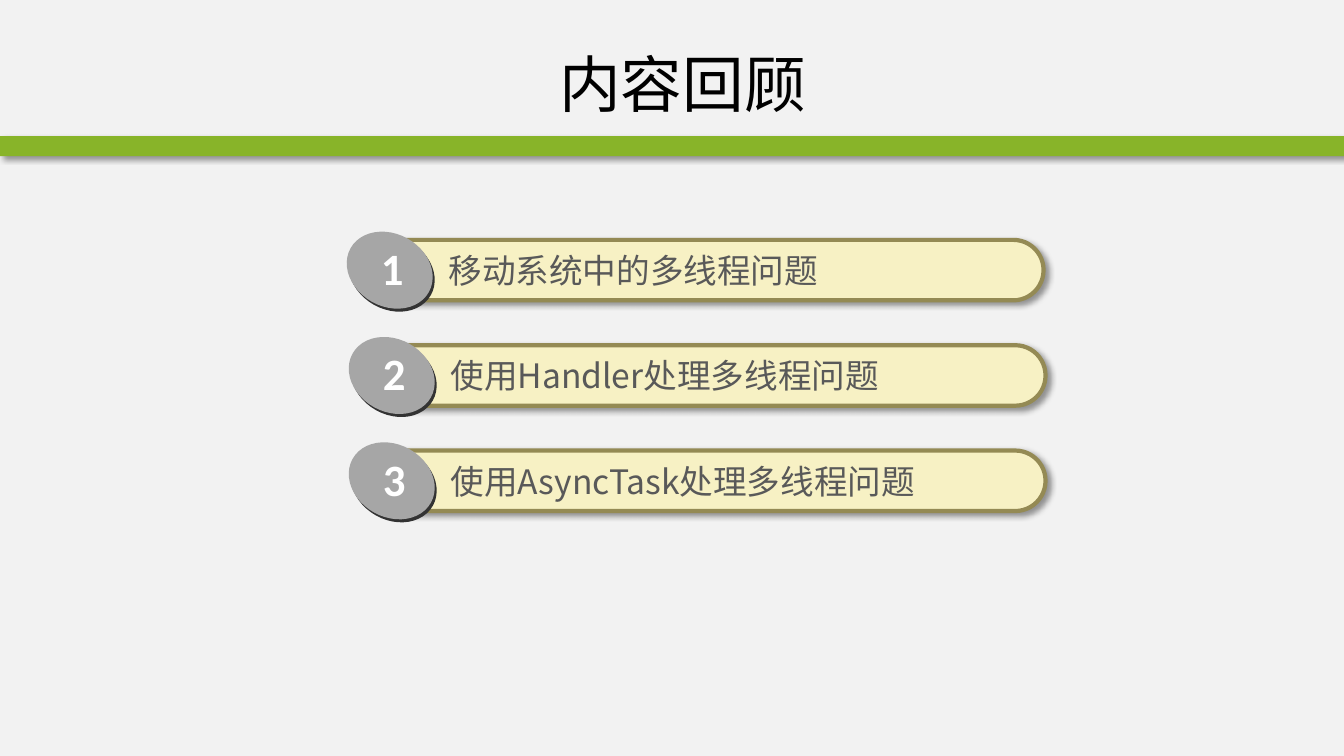
from dataclasses import dataclass

from lxml.etree import SubElement
from pptx import Presentation
from pptx.dml.color import RGBColor as RGB
from pptx.enum.shapes import MSO_SHAPE as SHAPE
from pptx.enum.text import MSO_ANCHOR as ANCHOR, MSO_AUTO_SIZE as AUTO_SIZE, PP_ALIGN as ALIGN
from pptx.oxml.ns import qn
from pptx.util import Inches, Pt


@dataclass(frozen=True)
class Theme:
    background: str = "F2F2F2"
    band: str = "88B429"
    pill: str = "F7F1C4"
    pill_line: str = "948A54"
    badge: str = "A6A6A6"
    badge_edge: str = "333333"
    title: str = "000000"
    body: str = "595959"
    number: str = "FFFFFF"
    shadow: str = "000000"
    text_font: str = "Noto Sans CJK SC"
    number_font: str = "Calibri"
    title_size: int = 44
    body_size: int = 24
    number_size: int = 32


class SlideBuilder:
    def __init__(self, slide, theme):
        self.slide = slide
        self.theme = theme

    def background(self):
        fill = self.slide.background.fill
        fill.solid()
        fill.fore_color.rgb = RGB.from_string(self.theme.background)

    def shape(self, parent, preset, box, color, line=None, shadow=False, rotation=0):
        shape = parent.add_shape(preset, *map(Inches, box))
        shape.shadow.inherit = False
        shape.rotation = rotation
        shape.fill.solid()
        shape.fill.fore_color.rgb = RGB.from_string(color)
        if line:
            shape.line.color.rgb = RGB.from_string(line)
            shape.line.width = Pt(3)
        else:
            shape.line.fill.background()
        if shadow:
            self.drop_shadow(shape)
        return shape

    def drop_shadow(self, shape):
        effects = shape._element.spPr.find(qn("a:effectLst"))
        outer = SubElement(effects, qn("a:outerShdw"), blurRad=str(Pt(4)), dist=str(Pt(3)),
                           dir=str(45 * 60000), algn="tl", rotWithShape="0")
        color = SubElement(outer, qn("a:srgbClr"), val=self.theme.shadow)
        SubElement(color, qn("a:alpha"), val="40000")

    def text(self, parent, box, words, font, color, frame=None, align=ALIGN.LEFT):
        text_frame = parent.add_textbox(*map(Inches, box)).text_frame
        for name, value in {"word_wrap": True, **(frame or {})}.items():
            setattr(text_frame, name, value)
        paragraph = text_frame.paragraphs[0]
        paragraph.alignment = align
        run = paragraph.add_run()
        run.text = words
        for name, value in font.items():
            setattr(run.font, name, value)
        run.font.color.rgb = RGB.from_string(color)
        SubElement(run._r.get_or_add_rPr(), qn("a:ea"), typeface=font["name"])

    def title(self, words):
        theme = self.theme
        self.text(self.slide.shapes, (1.39, 0.3, 10.76, 1.05), words,
                  {"name": theme.text_font, "size": Pt(theme.title_size)}, theme.title,
                  {"vertical_anchor": ANCHOR.MIDDLE}, ALIGN.CENTER)

    def topic(self, number, words, left, top):
        theme = self.theme
        group = self.slide.shapes.add_group_shape().shapes
        # Pill with its label
        pill = self.shape(group, SHAPE.ROUNDED_RECTANGLE, (left, top, 6.71, 0.6),
                          theme.pill, theme.pill_line, shadow=True)
        pill.adjustments[0] = 0.5
        self.text(group, (left + 0.71, top + 0.05, 5.34, 0.51), words,
                  {"name": theme.text_font, "size": Pt(theme.body_size)}, theme.body,
                  {"auto_size": AUTO_SIZE.SHAPE_TO_FIT_TEXT})
        # Tilted badge: dark edge behind, grey face in front
        for offset_x, offset_y, color in ((-0.2, -0.03, theme.badge_edge),
                                          (-0.22, -0.06, theme.badge)):
            self.shape(group, SHAPE.OVAL, (left + offset_x, top + offset_y, 0.89, 0.72),
                       color, rotation=29.3)
        self.text(group, (left + 0.04, top - 0.04, 0.43, 0.64), str(number),
                  {"name": theme.number_font, "size": Pt(theme.number_size), "bold": True},
                  theme.number,
                  {"word_wrap": False, "auto_size": AUTO_SIZE.SHAPE_TO_FIT_TEXT})


def main():
    presentation = Presentation()
    presentation.slide_width = Inches(13.33)
    presentation.slide_height = Inches(7.5)
    slide = presentation.slides.add_slide(presentation.slide_layouts[6])
    builder = SlideBuilder(slide, Theme())

    # Background and header band
    builder.background()
    builder.shape(slide.shapes, SHAPE.RECTANGLE, (0, 1.35, 13.33, 0.2),
                  builder.theme.band, shadow=True)

    # Review topics, evenly spaced
    topics = (("移动系统中的多线程问题", 3.64),
              ("使用Handler处理多线程问题", 3.66),
              ("使用AsyncTask处理多线程问题", 3.66))
    first_top, last_top = 2.38, 4.47
    pitch = (last_top - first_top) / (len(topics) - 1)
    for index, (words, left) in enumerate(topics):
        builder.topic(index + 1, words, left, first_top + index * pitch)

    # Title
    builder.title("内容回顾")
    presentation.save("out.pptx")


if __name__ == "__main__":
    main()
